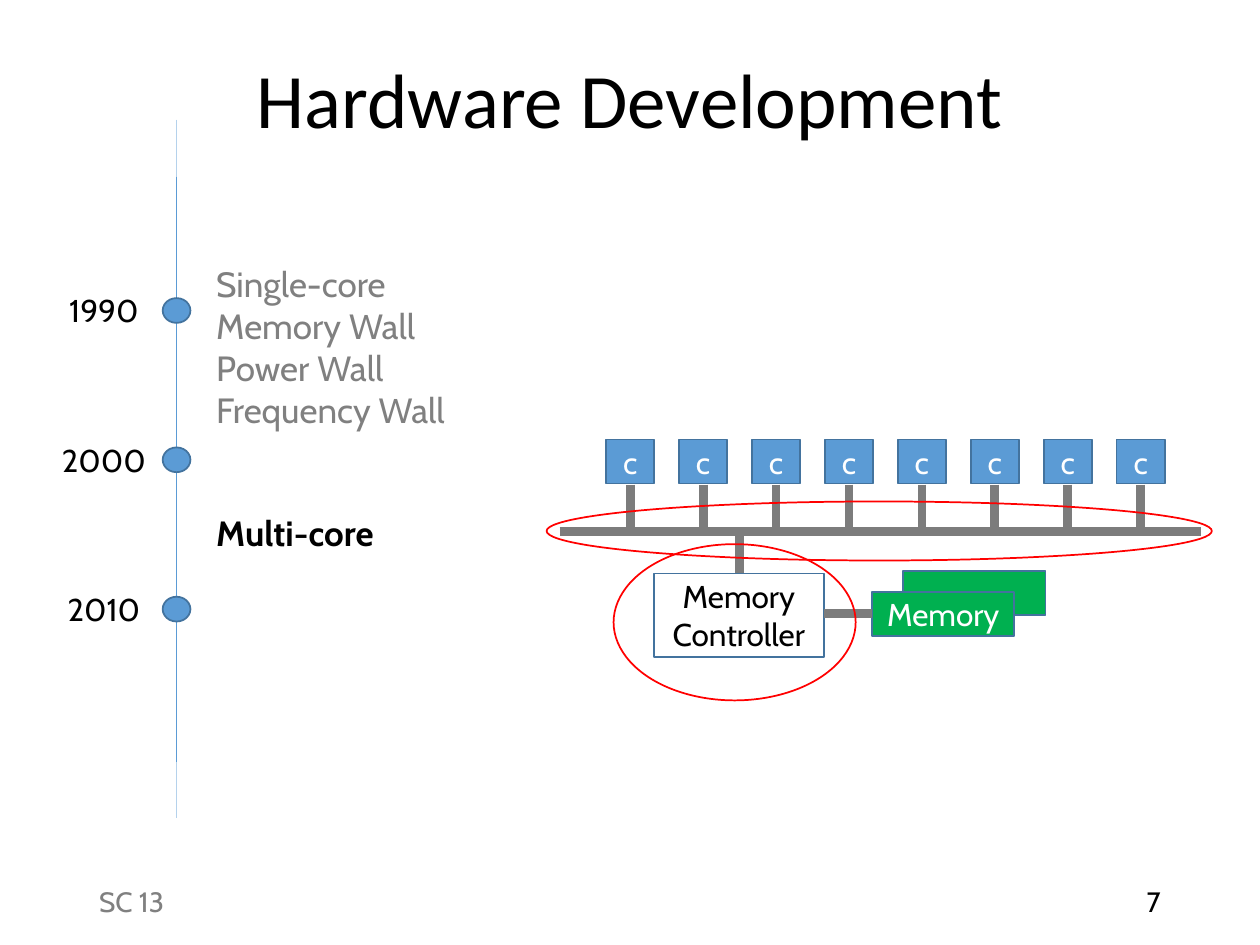
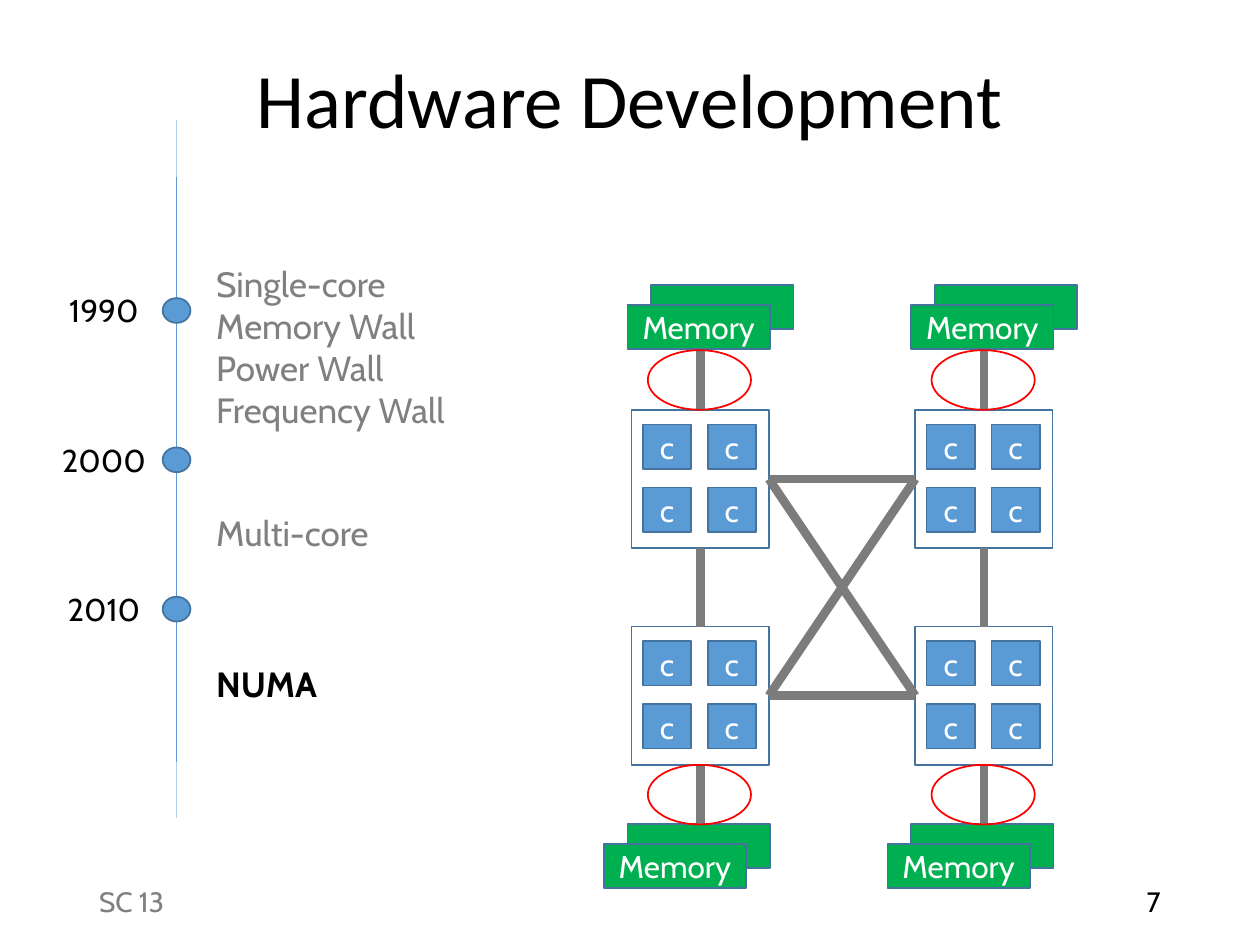
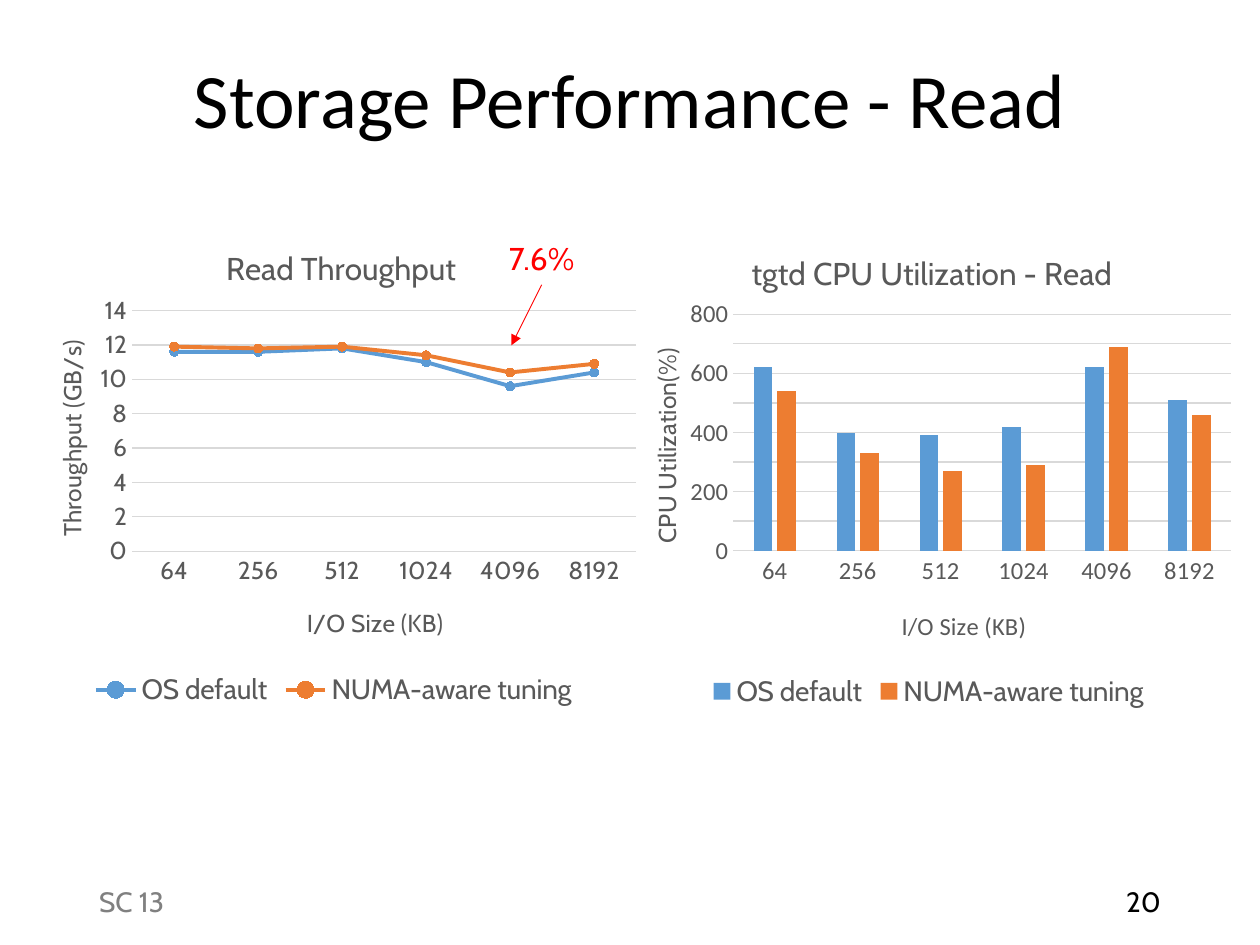
import pptx
import pptx.chart.data
import pptx.dml.color
import pptx.enum.chart
import pptx.enum.shapes
import pptx.enum.text
import pptx.oxml
import pptx.oxml.ns
import pptx.util
from lxml import etree

Cm = pptx.util.Cm
Pt = pptx.util.Pt
qn = pptx.oxml.ns.qn
SHAPE = pptx.enum.shapes.MSO_SHAPE
ALIGN = pptx.enum.text.PP_ALIGN
ANCHOR = pptx.enum.text.MSO_ANCHOR
CHART = pptx.enum.chart

COLORS = {
    "ink": "000000",
    "muted": "808080",
    "white": "FFFFFF",
    "blue": "5B9BD5",
    "outline": "43739E",
    "faded": "B5D2EC",
    "link": "7C7C7C",
    "memory": "00B050",
    "highlight": "FF0000",
    "orange": "ED7D31",
    "label": "595959",
    "grid": "D9D9D9",
}
BODY = "Cabin"
HEADING = "Calibri"
CORE_W, CORE_H = 0.97, 0.89
MEMORY_W, MEMORY_H = 2.87, 0.89
NODE_W, NODE_H = 2.77, 2.79
IO_SIZES = ["64", "256", "512", "1024", "4096", "8192"]
SERIES_COLORS = {"OS default": "blue", "NUMA-aware tuning": "orange"}


def rgb(color):
    return pptx.dml.color.RGBColor.from_string(COLORS[color])


def style_font(font, size, color, face=BODY, bold=False):
    font.size = Pt(size)
    font.name = face
    font.bold = bold
    font.color.rgb = rgb(color)


def write(frame, lines, size, color, face=BODY, bold=False, align=None, spacing=None):
    for index, line in enumerate(lines):
        paragraph = frame.add_paragraph() if index else frame.paragraphs[0]
        paragraph.alignment = align
        if spacing:
            paragraph.line_spacing = spacing
        run = paragraph.add_run()
        run.text = line
        style_font(run.font, size, color, face, bold)


def add_label(slide, box, lines, size, color, anchor=ANCHOR.TOP, **style):
    frame = slide.shapes.add_textbox(*map(Cm, box)).text_frame
    frame.word_wrap = True
    frame.vertical_anchor = anchor
    write(frame, lines, size, color, **style)


def add_block(slide, box, fill=None, lines=(), color="white", kind=SHAPE.RECTANGLE, border="outline"):
    block = slide.shapes.add_shape(kind, *map(Cm, box))
    block.shadow.inherit = False
    if fill:
        block.fill.solid()
        block.fill.fore_color.rgb = rgb(fill)
    else:
        block.fill.background()
    block.line.color.rgb = rgb(border)
    block.line.width = Pt(1)
    block.text_frame.vertical_anchor = ANCHOR.MIDDLE
    write(block.text_frame, lines, 18, color, align=ALIGN.CENTER)


def add_line(slide, start, end, color="link", width=5, arrow=False):
    line = slide.shapes.add_connector(
        pptx.enum.shapes.MSO_CONNECTOR.STRAIGHT, *map(Cm, start + end))
    line.line.color.rgb = rgb(color)
    line.line.width = Pt(width)
    if arrow:
        etree.SubElement(line.line._get_or_add_ln(), qn("a:tailEnd"), type="triangle")
    etree.SubElement(line._element.spPr, qn("a:effectLst"))


def add_ring(slide, box):
    add_block(slide, box, kind=SHAPE.OVAL, border="highlight")


def add_core(slide, left, top):
    add_block(slide, (left, top, CORE_W, CORE_H), "blue", ["c"])


def add_memory(slide, left, top, shift_x=0.48, shift_y=-0.41):
    add_block(slide, (left + shift_x, top + shift_y, MEMORY_W, MEMORY_H), "memory")
    add_block(slide, (left, top, MEMORY_W, MEMORY_H), "memory", ["Memory"])


def add_page(deck, title, number):
    slide = deck.slides.add_slide(deck.slide_layouts[6])
    add_label(slide, (1.75, 0.25, 21.9, 3.68), [title], 44, "ink", ANCHOR.MIDDLE,
              face=HEADING, align=ALIGN.CENTER, spacing=0.9)
    add_label(slide, (1.75, 17.65, 8.59, 1.02), ["SC 13"], 16, "muted", ANCHOR.MIDDLE)
    add_label(slide, (17.93, 17.65, 5.72, 1.02), [number], 16, "ink", ANCHOR.MIDDLE,
              align=ALIGN.RIGHT)
    return slide


def add_timeline(slide, left, top, eras):
    axis = left + 2.67
    for start, end, color in ((0, 1.15, "faded"), (1.15, 12.96, "blue"), (12.96, 14.07, "faded")):
        add_line(slide, (axis, top + start), (axis, top + end), color, 1)
    for index, year in enumerate(("1990", "2000", "2010")):
        middle = top + 3.85 + 3.01 * index
        add_block(slide, (axis - 0.28, middle - 0.25, 0.56, 0.5), "blue", kind=SHAPE.OVAL)
        add_label(slide, (left, middle - 0.51, 2.41, 1.02), [year], 18, "ink",
                  align=ALIGN.CENTER)
    for offset, lines in eras:
        current = lines is eras[-1][1]
        add_label(slide, (left + 3.22, top + offset, 5.77, 0.25 + 0.86 * len(lines)), lines, 20,
                  "ink" if current else "muted", bold=current)


def add_multi_core(slide, left, top):
    bus = top + 1.85
    for index in range(8):
        core = left + 1.2 + 1.47 * index
        stem = core + CORE_W / 2
        add_core(slide, core, top)
        add_line(slide, (stem, top + 0.91), (stem, bus - 0.09))
    add_line(slide, (left + 0.26, bus), (left + 13.19, bus))
    add_line(slide, (left + 3.89, bus), (left + 3.89, top + 2.7))
    add_block(slide, (left + 2.16, top + 2.7, 3.43, 1.68), None, ["Memory", "Controller"], "ink")
    add_memory(slide, left + 6.56, top + 3.08, 0.63, -0.43)
    add_line(slide, (left + 5.59, top + 3.51), (left + 6.56, top + 3.51))
    add_ring(slide, (left + 1.35, top + 2.11, 4.88, 3.15))
    add_ring(slide, (left, top + 1.25, 13.41, 1.19))


def add_numa_node(slide, left, top, memory_above):
    for index in range(4):
        row, column = divmod(index, 2)
        add_core(slide, left + 0.23 + 1.31 * column, top + 0.3 + 1.27 * row)
    if memory_above:
        memory_x, memory_y, gap = -0.08, -2.11, -1.2
    else:
        memory_x, memory_y, gap = -0.56, 4.39, NODE_H
    middle = left + NODE_W / 2
    add_memory(slide, left + memory_x, top + memory_y)
    add_block(slide, (left, top, NODE_W, NODE_H))
    add_line(slide, (middle, top + gap), (middle, top + gap + 1.2))
    add_ring(slide, (left + 0.33, top + gap, 2.08, 1.2))


def add_numa(slide, left, top):
    columns = (left, left + 5.72)
    rows = (top, top + 4.37)
    for column in columns:
        for row in rows:
            add_numa_node(slide, column, row, row == top)
        middle = column + NODE_W / 2
        add_line(slide, (middle, top + NODE_H), (middle, rows[1]))
    for start in rows:
        for end in rows:
            add_line(slide, (left + NODE_W, start + NODE_H / 2), (columns[1], end + NODE_H / 2))


def set_layout(element, position, **values):
    for old in element.findall(qn("c:layout")):
        element.remove(old)
    layout = etree.Element(qn("c:layout"))
    manual = etree.SubElement(layout, qn("c:manualLayout"))
    for name, value in values.items():
        etree.SubElement(manual, qn("c:" + name), val=str(value))
    element.insert(position, layout)


def write_chart_title(title, text, size, x, y, face=BODY):
    write(title.text_frame, [text], size, "label", face)
    set_layout(title._element, 1, xMode="edge", yMode="edge", x=x, y=y)


def add_chart(slide, box, kind, title, title_at, unit, series, plot, tick_face, size_face, top_value, step):
    chart_data = pptx.chart.data.CategoryChartData()
    chart_data.categories = IO_SIZES
    for name, values in zip(SERIES_COLORS, series):
        chart_data.add_series(name, values)
    chart = slide.shapes.add_chart(kind, *map(Cm, box), chart_data).chart
    style_font(chart.font, 10, "ink", HEADING)
    chart.has_title = True
    write_chart_title(chart.chart_title, title, 18, *title_at)
    chart.has_legend = True
    chart.legend.position = CHART.XL_LEGEND_POSITION.BOTTOM
    chart.legend.include_in_layout = False
    style_font(chart.legend.font, 16, "label")

    sizes, amounts = chart.category_axis, chart.value_axis
    for axis in (sizes, amounts):
        axis.major_tick_mark = axis.minor_tick_mark = CHART.XL_TICK_MARK.NONE
        style_font(axis.tick_labels.font, 14, "label", tick_face)
    write_chart_title(sizes.axis_title, "I/O Size (KB)", 14, 0.45, 0.78, size_face)
    write_chart_title(amounts.axis_title, unit, 14, 0.05, 0.25)
    amounts.axis_title.text_frame._txBody.bodyPr.set("rot", "-5400000")
    amounts.minimum_scale, amounts.maximum_scale, amounts.major_unit = 0, top_value, step
    amounts.format.line.fill.background()
    for line in (sizes.format.line, amounts.major_gridlines.format.line):
        line.color.rgb = rgb("grid")
        line.width = Pt(0.75)
    plot_area = chart._chartSpace.find(".//" + qn("c:plotArea"))
    set_layout(plot_area, 0, layoutTarget="inner", xMode="edge", yMode="edge", **plot)
    chart.plots[0].vary_by_categories = False
    return chart.plots[0]


def add_throughput(slide, left, top):
    plot = add_chart(
        slide, (left, top, 12.7, 10.11), CHART.XL_CHART_TYPE.LINE_MARKERS,
        "Read Throughput", (0.32, 0.06), "Throughput (GB/s)",
        [(11.6, 11.6, 11.8, 11, 9.6, 10.4), (11.9, 11.8, 11.9, 11.4, 10.4, 10.9)],
        {"x": 0.18, "y": 0.2, "w": 0.8, "h": 0.48}, BODY, BODY, 14, 2)
    for series, color in zip(plot.series, SERIES_COLORS.values()):
        series.smooth = False
        series.format.line.color.rgb = rgb(color)
        series.format.line.width = Pt(2.25)
        series.marker.style = CHART.XL_MARKER_STYLE.CIRCLE
        series.marker.size = 5
        series.marker.format.fill.solid()
        series.marker.format.fill.fore_color.rgb = rgb(color)
        series.marker.format.line.color.rgb = rgb(color)
    add_line(slide, (left + 10.54, top + 1.5), (left + 9.93, top + 2.72), "highlight", 0.5, True)
    add_label(slide, (left + 9.63, top + 0.46, 1.88, 1.02), ["7.6%"], 18, "highlight")


def add_utilization(slide, left, top):
    plot = add_chart(
        slide, (left, top, 12.7, 9.93), CHART.XL_CHART_TYPE.COLUMN_CLUSTERED,
        "tgtd CPU Utilization - Read", (0.21, 0.05), "CPU Utilization(%)",
        [(620, 400, 390, 420, 620, 510), (540, 330, 270, 290, 690, 460)],
        {"x": 0.19, "y": 0.19, "w": 0.79, "h": 0.48}, HEADING, HEADING, 800, 100)
    plot.gap_width = 219
    plot.overlap = -27
    for series, color in zip(plot.series, SERIES_COLORS.values()):
        series.format.fill.solid()
        series.format.fill.fore_color.rgb = rgb(color)


def main():
    deck = pptx.Presentation()
    deck.slide_width, deck.slide_height = Cm(25.4), Cm(19.05)
    walls = (2.75, ["Single-core", "Memory Wall", "Power Wall", "Frequency Wall"])
    multi_core = (7.78, ["Multi-core"])
    numa = (10.82, ["NUMA"])

    slide = add_page(deck, "Hardware Development", "7")
    add_timeline(slide, 0.89, 2.41, [walls, multi_core])
    add_multi_core(slide, 11.02, 8.86)

    slide = add_page(deck, "Hardware Development", "7")
    add_timeline(slide, 0.89, 2.41, [walls, multi_core, numa])
    add_numa(slide, 12.73, 8.26)

    slide = add_page(deck, "Storage Performance - Read", "20")
    add_throughput(slide, 0.38, 4.24)
    add_utilization(slide, 12.37, 4.45)

    deck.save("out.pptx")


if __name__ == "__main__":
    main()
